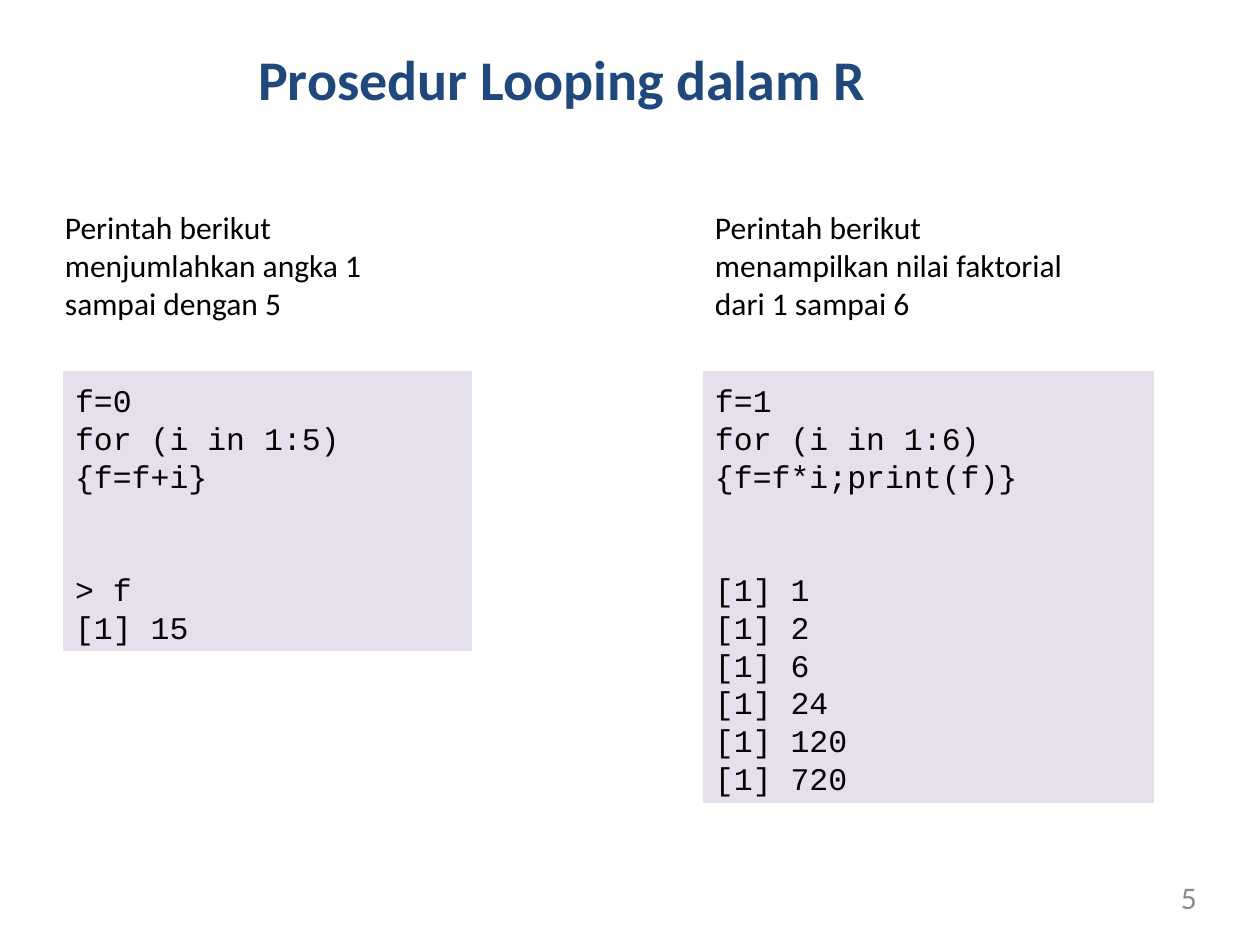
from dataclasses import dataclass

from pptx import Presentation
from pptx.dml.color import RGBColor
from pptx.enum import shapes, text
from pptx.util import Emu, Pt

EMU_PER_PX = 914400 / 126
TEXT_TOP, TEXT_HEIGHT, CODE_TOP = 202, 127, 371
CODE_LEADING = 21.6


@dataclass
class Example:
    intro: str
    intro_left: int
    intro_width: int
    commands: list[str]
    results: list[str]
    code_left: int
    code_width: int
    code_height: int


EXAMPLES = [
    Example("Perintah berikut menjumlahkan angka 1 sampai dengan 5", 53, 368,
            ["f=0", "for (i in 1:5)", "{f=f+i}"],
            ["> f", "[1] 15"], 63, 409, 280),
    Example("Perintah berikut menampilkan nilai faktorial dari 1 sampai 6", 703, 388,
            ["f=1", "for (i in 1:6)", "{f=f*i;print(f)}"],
            ["[1] 1", "[1] 2", "[1] 6", "[1] 24", "[1] 120", "[1] 720"],
            703, 451, 432),
]


def px(length: int) -> Emu:
    return Emu(round(length * EMU_PER_PX))


def color(value: str) -> RGBColor:
    return RGBColor.from_string(value)


def set_frame(box, side: int, top: int, bottom: int):
    frame = box.text_frame
    frame.word_wrap = True
    frame.auto_size = text.MSO_AUTO_SIZE.NONE
    frame.vertical_anchor = text.MSO_ANCHOR.TOP
    frame.margin_left = frame.margin_right = px(side)
    frame.margin_top, frame.margin_bottom = px(top), px(bottom)
    return frame


def add_span(para, words: str, size: int = 18, ink: str = "000000",
             font: str = "Calibri", bold: bool = False) -> None:
    span = para.add_run()
    span.text = words
    span.font.name = font
    span.font.size = Pt(size)
    span.font.bold = bold
    span.font.color.rgb = color(ink)


def add_title(page, words: str) -> None:
    box = page.shapes.title
    box.left, box.top, box.width, box.height = map(px, (258, 44, 742, 68))
    para = set_frame(box, 0, 0, 0).paragraphs[0]
    para.alignment = text.PP_ALIGN.LEFT
    add_span(para, words, 32, "1F487C", bold=True)


def add_page_number(page, number: int) -> None:
    box = page.shapes.add_textbox(*map(px, (907, 878, 290, 34)))
    para = set_frame(box, 0, 0, 0).paragraphs[0]
    para.alignment = text.PP_ALIGN.RIGHT
    add_span(para, str(number), ink="8C8C8C")


def add_intro(page, example: Example) -> None:
    box = page.shapes.add_textbox(
        *map(px, (example.intro_left, TEXT_TOP, example.intro_width, TEXT_HEIGHT)))
    add_span(set_frame(box, 12, 6, 6).paragraphs[0], example.intro)


def add_code(page, example: Example) -> None:
    box = page.shapes.add_shape(
        shapes.MSO_SHAPE.RECTANGLE,
        *map(px, (example.code_left, CODE_TOP, example.code_width, example.code_height)))
    box.shadow.inherit = False
    box.fill.solid()
    box.fill.fore_color.rgb = color("E6E0EC")
    box.line.fill.background()
    frame = set_frame(box, 12, 10, 6)
    for index, line in enumerate(example.commands + example.results):
        para = frame.add_paragraph() if index else frame.paragraphs[0]
        para.alignment = text.PP_ALIGN.LEFT
        para.line_spacing = Pt(CODE_LEADING)
        if index == len(example.commands):
            para.space_before = Pt(2 * CODE_LEADING)
        add_span(para, line, font="Courier New")


def main() -> None:
    deck = Presentation()
    deck.slide_width, deck.slide_height = px(1260), px(945)
    page = deck.slides.add_slide(deck.slide_layouts[5])
    add_title(page, "Prosedur Looping dalam R")
    add_page_number(page, 5)
    for example in EXAMPLES:
        add_intro(page, example)
        add_code(page, example)
    deck.save("out.pptx")


if __name__ == "__main__":
    main()
